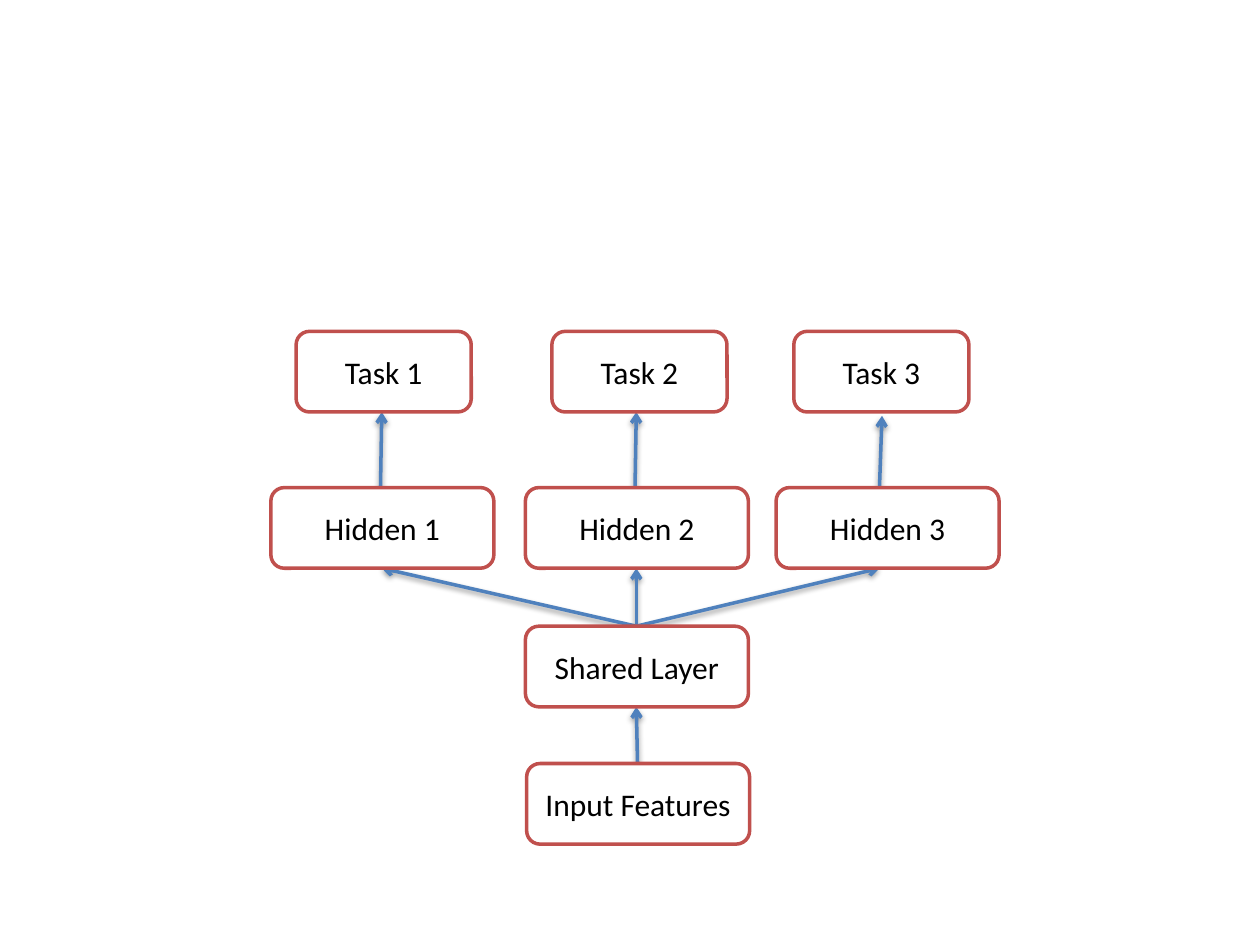
import pptx
import pptx.dml.color
import pptx.enum.shapes
import pptx.enum.text
import pptx.oxml
import pptx.oxml.ns
import pptx.util

EMU_PER_PX = 9144  # 100 px to the inch
BOX_HEIGHT = 64
TASK_WIDTH = 139
LAYER_WIDTH = 177
TASK_TOP, HIDDEN_TOP, SHARED_TOP, INPUT_TOP = 263, 387, 497, 606
TASK_LEFTS = (235, 438, 630)
HIDDEN_LEFTS = (215, 417, 616)
SHARED_LEFT, INPUT_LEFT = 417, 418
ARROW_CENTERS = (303, 505, 698)
SHADOW_XML = (
    f'<a:effectLst {pptx.oxml.ns.nsdecls("a")}>'
    '<a:outerShdw blurRad="40000" dist="20000" dir="5400000" rotWithShape="0">'
    '<a:srgbClr val="000000"><a:alpha val="38000"/></a:srgbClr>'
    "</a:outerShdw></a:effectLst>"
)


def px(length):
    return pptx.util.Emu(length * EMU_PER_PX)


def color(value):
    return pptx.dml.color.RGBColor.from_string(value)


def set_attributes(target, values):
    for name, value in values.items():
        setattr(target, name, value)


class Diagram:
    """Holds the style and the current slide."""

    box_line = "C0504D"
    box_fill = "FFFFFF"
    arrow_line = "4F81BD"
    text_color = "000000"
    line_width = pptx.util.Pt(2)
    font_format = {"name": "Calibri", "size": pptx.util.Pt(18)}

    def __init__(self, slide):
        self.slide = slide

    def style_line(self, line, line_color):
        line.width = self.line_width
        line.color.rgb = color(line_color)

    def box(self, text, left, top, width):
        shape = self.slide.shapes.add_shape(
            pptx.enum.shapes.MSO_SHAPE.ROUNDED_RECTANGLE,
            px(left), px(top), px(width), px(BOX_HEIGHT),
        )
        shape.shadow.inherit = False
        shape.fill.solid()
        shape.fill.fore_color.rgb = color(self.box_fill)
        self.style_line(shape.line, self.box_line)
        set_attributes(shape.text_frame, {
            "word_wrap": True,
            "vertical_anchor": pptx.enum.text.MSO_ANCHOR.MIDDLE,
        })
        paragraph = shape.text_frame.paragraphs[0]
        paragraph.alignment = pptx.enum.text.PP_ALIGN.CENTER
        run = paragraph.add_run()
        run.text = text
        set_attributes(run.font, self.font_format)
        run.font.color.rgb = color(self.text_color)

    def arrow(self, start, end):
        connector = self.slide.shapes.add_connector(
            pptx.enum.shapes.MSO_CONNECTOR.STRAIGHT,
            *(px(length) for length in (*start, *end)),
        )
        self.style_line(connector.line, self.arrow_line)
        connector.line._get_or_add_ln().append(pptx.oxml.parse_xml(
            f'<a:tailEnd {pptx.oxml.ns.nsdecls("a")} type="arrow"/>'
        ))
        connector._element.spPr.append(pptx.oxml.parse_xml(SHADOW_XML))


def main():
    presentation = pptx.Presentation()
    set_attributes(presentation, {"slide_width": px(1000), "slide_height": px(750)})
    blank_layout = presentation.slide_layouts[6]
    diagram = Diagram(presentation.slides.add_slide(blank_layout))

    shared_center = ARROW_CENTERS[1]
    hidden_starts = (302, 504, 698)
    task_ends = ((303, 327), (505, 327), (700, 330))
    diagram.arrow((506, INPUT_TOP), (shared_center, SHARED_TOP + BOX_HEIGHT))
    for center, hidden_start, task_end in zip(ARROW_CENTERS, hidden_starts, task_ends):
        diagram.arrow((shared_center, SHARED_TOP), (center, HIDDEN_TOP + BOX_HEIGHT))
        diagram.arrow((hidden_start, HIDDEN_TOP), task_end)

    columns = zip(TASK_LEFTS, HIDDEN_LEFTS)
    for number, (task_left, hidden_left) in enumerate(columns, start=1):
        diagram.box(f"Task {number}", task_left, TASK_TOP, TASK_WIDTH)
        diagram.box(f"Hidden {number}", hidden_left, HIDDEN_TOP, LAYER_WIDTH)
    diagram.box("Input Features", INPUT_LEFT, INPUT_TOP, LAYER_WIDTH)
    diagram.box("Shared Layer", SHARED_LEFT, SHARED_TOP, LAYER_WIDTH)

    presentation.save("out.pptx")


if __name__ == "__main__":
    main()
